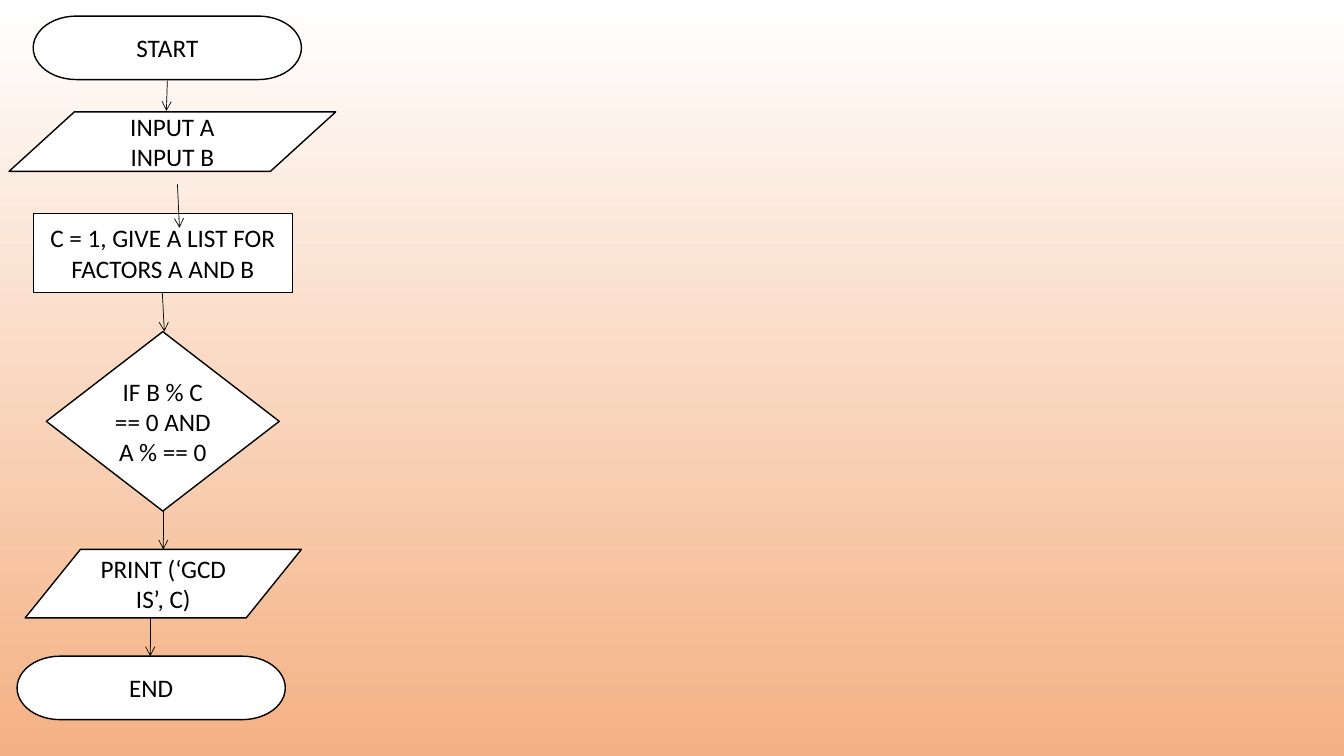
from lxml import etree
from pptx import Presentation
from pptx.dml.color import RGBColor
from pptx.enum import shapes, text
from pptx.oxml import ns
from pptx.util import Inches, Pt

COLORS = {"top": "FFFFFF", "bottom": "F4B183", "step": "FFFFFF", "ink": "000000"}
TERMINATOR = shapes.MSO_SHAPE.FLOWCHART_TERMINATOR
DATA = shapes.MSO_SHAPE.FLOWCHART_DATA
DECISION = shapes.MSO_SHAPE.FLOWCHART_DECISION
PROCESS = shapes.MSO_SHAPE.RECTANGLE

# kind, wording, (left, top, width, height) within the flowchart
STEPS = [
    (TERMINATOR, "START", (0.24, 0, 2.66, 0.63)),
    (DATA, "INPUT A\nINPUT B", (0, 0.95, 3.24, 0.59)),
    (PROCESS, "C = 1, GIVE A LIST FOR FACTORS A AND B", (0.24, 1.96, 2.57, 0.78)),
    (DECISION, "IF B % C == 0 AND A % == 0", (0.37, 3.13, 2.31, 1.78)),
    (DATA, "PRINT (‘GCD IS’, C)", (0.16, 5.29, 2.74, 0.68)),
    (TERMINATOR, "END", (0.08, 6.35, 2.66, 0.63)),
]
# start x, start y, end x, end y within the flowchart
ARROWS = [
    (1.57, 0.64, 1.56, 0.94),
    (1.67, 1.67, 1.69, 2.1),
    (1.52, 2.7, 1.54, 3.13),
    (1.53, 4.91, 1.53, 5.29),
    (1.4, 5.97, 1.4, 6.35),
]


def color(name):
    return RGBColor.from_string(COLORS[name])


def paint_background(slide):
    fill = slide.background.fill
    fill.gradient()
    fill.gradient_angle = 270
    for stop, position, name in zip(fill.gradient_stops, (0, 1), ("top", "bottom")):
        stop.position = position
        stop.color.rgb = color(name)


def add_step(slide, kind, wording, left, top, width, height):
    step = slide.shapes.add_shape(
        kind, Inches(left), Inches(top), Inches(width), Inches(height))
    step.shadow.inherit = False
    step.fill.solid()
    step.fill.fore_color.rgb = color("step")
    step.line.color.rgb = color("ink")
    step.line.width = Pt(1)
    frame = step.text_frame
    frame.text = wording
    frame.word_wrap = True
    frame.vertical_anchor = text.MSO_ANCHOR.MIDDLE
    for paragraph in frame.paragraphs:
        paragraph.alignment = text.PP_ALIGN.CENTER
        paragraph.font.name = "Calibri"
        paragraph.font.size = Pt(18)
        paragraph.font.color.rgb = color("ink")


def add_arrow(slide, *ends):
    arrow = slide.shapes.add_connector(
        shapes.MSO_CONNECTOR.STRAIGHT, *(Inches(end) for end in ends))
    arrow.line.color.rgb = color("ink")
    arrow.line.width = Pt(0.5)
    etree.SubElement(arrow.line._get_or_add_ln(), ns.qn("a:tailEnd"), type="arrow")
    etree.SubElement(arrow._element.spPr, ns.qn("a:effectLst"))


def add_flowchart(slide, left, top):
    for kind, wording, (x, y, width, height) in STEPS:
        # The arrow into the process box overlaps it, so arrows go on top.
        add_step(slide, kind, wording, left + x, top + y, width, height)
    for x1, y1, x2, y2 in ARROWS:
        # The arrow leaving the process box starts at its lower edge.
        add_arrow(slide, left + x1, top + max(y1, 2.74) if y1 == 2.7 else top + y1,
                  left + x2, top + y2)


def main():
    deck = Presentation()
    deck.slide_width, deck.slide_height = Inches(13.33), Inches(7.5)
    slide = deck.slides.add_slide(deck.slide_layouts[6])
    paint_background(slide)
    add_flowchart(slide, 0.09, 0.16)
    deck.save("out.pptx")


if __name__ == "__main__":
    main()
